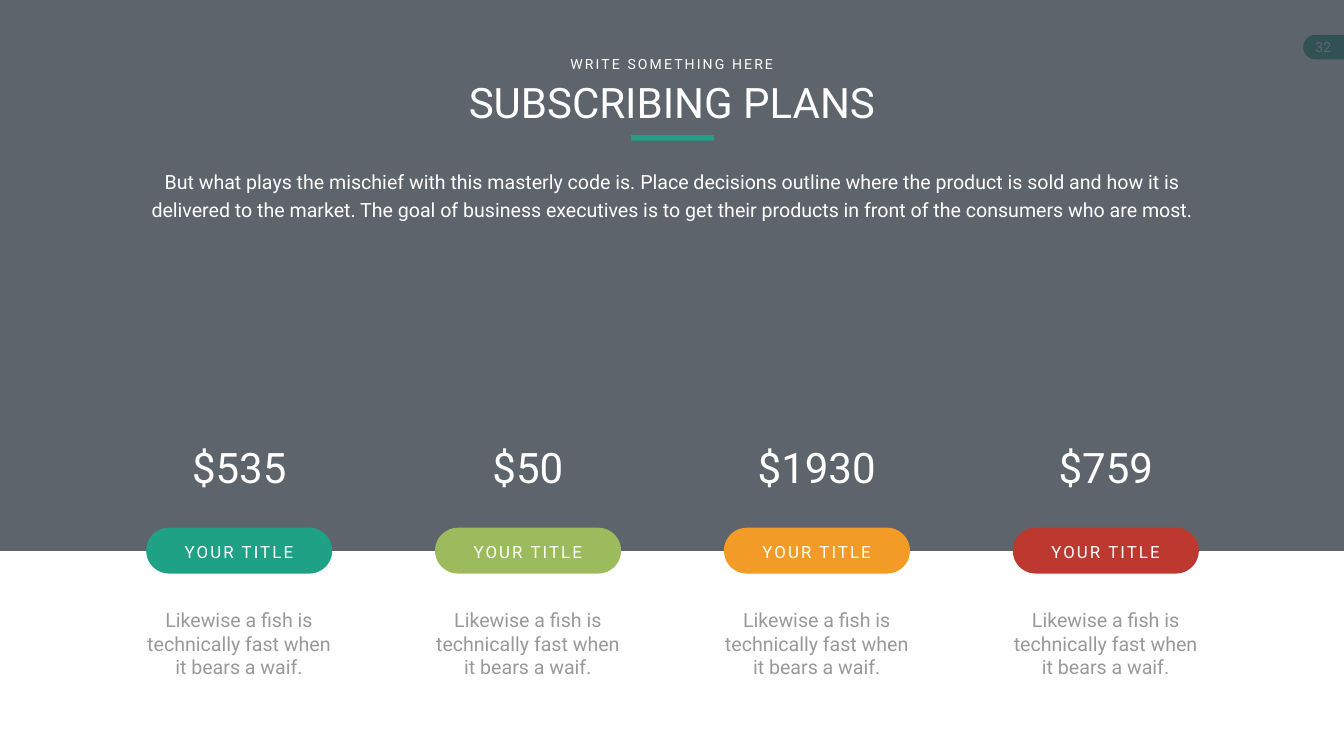
from dataclasses import dataclass
from typing import Optional

from lxml import etree
from pptx import Presentation, util as u
from pptx.dml.color import RGBColor
from pptx.enum import shapes, text
from pptx.oxml import ns

PX = u.Inches(1) // 100
FONT = "Roboto"
WHITE, SLATE, GREY, TEAL = "FFFFFF", "363E48", "999999", "1EA185"
FIRST_CENTRE, PITCH = 474, 573
PILL_WIDTH, LABEL_WIDTH, NOTE_WIDTH = 369, 246, 412
PRICE_DIGIT, PRICE_MARGIN = 49, 19


@dataclass(frozen=True)
class Box:
    left: int
    top: int
    width: int
    height: int

    def emu(self) -> tuple[int, ...]:
        return tuple(px * PX for px in (self.left, self.top, self.width, self.height))


@dataclass(frozen=True)
class Style:
    size: int
    colour: str = WHITE
    tracking: int = 0
    leading: Optional[float] = None
    wrap: bool = True


@dataclass(frozen=True)
class Plan:
    price: str
    colour: str
    title: str = "YOUR TITLE"
    note: str = "Likewise a fish is technically fast when it bears a waif."


HEADING = Style(60)
PRICE = Style(60, wrap=False)
KICKER = Style(20, tracking=3, wrap=False)
PAGE_NUMBER = Style(20, wrap=False)
INTRO = Style(28, leading=40.8)
LABEL = Style(24, tracking=3, wrap=False)
NOTE = Style(28, GREY)

PLANS = [
    Plan("$535", TEAL),
    Plan("$50", "9BBB5C"),
    Plan("$1930", "F29B26"),
    Plan("$759", "BD392F"),
]


def rgb(colour: str) -> RGBColor:
    return RGBColor.from_string(colour)


def centred(centre: int, top: int, width: int, height: int) -> Box:
    return Box(centre - width // 2, top, width, height)


def write(shape, words: str, style: Style) -> None:
    frame = shape.text_frame
    frame.text = words
    frame.word_wrap = style.wrap
    frame.auto_size = text.MSO_AUTO_SIZE.NONE
    frame.vertical_anchor = text.MSO_ANCHOR.TOP
    paragraph = frame.paragraphs[0]
    paragraph.alignment = text.PP_ALIGN.CENTER
    paragraph.font.name = FONT
    paragraph.font.size = u.Pt(style.size)
    paragraph.font.color.rgb = rgb(style.colour)
    if style.leading:
        paragraph.line_spacing = u.Pt(style.leading)
    if style.tracking:
        paragraph.runs[0].font._element.set("spc", str(style.tracking * 100))


def add_words(slide, box: Box, words: str, style: Style) -> None:
    write(slide.shapes.add_textbox(*box.emu()), words, style)


def add_block(slide, box: Box, colour: str, kind=shapes.MSO_SHAPE.RECTANGLE):
    block = slide.shapes.add_shape(kind, *box.emu())
    block.shadow.inherit = False
    block.fill.solid()
    block.fill.fore_color.rgb = rgb(colour)
    block.line.fill.background()
    return block


def set_opacity(shape, percent: int) -> None:
    colour = shape._element.spPr.find(".//" + ns.qn("a:srgbClr"))
    etree.SubElement(colour, ns.qn("a:alpha")).set("val", str(percent * 1000))


def add_page_tab(slide) -> None:
    cap = add_block(slide, Box(2585, 69, 49, 49), TEAL, shapes.MSO_SHAPE.FLOWCHART_DELAY)
    cap.rotation = 180
    add_block(slide, Box(2634, 69, 32, 49), TEAL)
    add_words(slide, centred(2625, 72, 60, 43), "32", PAGE_NUMBER)


def add_header(slide) -> None:
    add_block(slide, Box(1252, 268, 164, 11), TEAL)
    title = slide.shapes.title
    title.left, title.top, title.width, title.height = Box(838, 147, 990, 111).emu()
    write(title, "SUBSCRIBING PLANS", HEADING)
    # The placeholder starts at the back; bring it in front of the dark panel.
    slide.shapes._spTree.append(title._element)
    add_words(slide, Box(1115, 105, 435, 44), "WRITE SOMETHING HERE", KICKER)
    add_words(
        slide,
        Box(287, 322, 2091, 120),
        "But what plays the mischief with this masterly code is. Place decisions outline "
        "where the product is sold and how it is delivered to the market. The goal of "
        "business executives is to get their products in front of the consumers who are most.",
        INTRO,
    )


def add_plan(slide, plan: Plan, centre: int) -> None:
    price_width = PRICE_DIGIT * len(plan.price) + PRICE_MARGIN
    add_words(slide, centred(centre, 871, price_width, 111), plan.price, PRICE)
    pill = add_block(slide, centred(centre, 1047, PILL_WIDTH, 91), plan.colour,
                     shapes.MSO_SHAPE.ROUNDED_RECTANGLE)
    pill.adjustments[0] = 0.5
    add_words(slide, centred(centre, 1069, LABEL_WIDTH, 50), plan.title, LABEL)
    add_words(slide, centred(centre, 1202, NOTE_WIDTH, 151), plan.note, NOTE)


def main() -> None:
    deck = Presentation()
    deck.slide_width, deck.slide_height = 2666 * PX, 1500 * PX
    slide = deck.slides.add_slide(deck.slide_layouts.get_by_name("Title Only"))
    slide.background.fill.solid()
    slide.background.fill.fore_color.rgb = rgb(WHITE)

    add_page_tab(slide)
    set_opacity(add_block(slide, Box(0, 0, 2666, 1093), SLATE), 80)
    add_header(slide)
    for column, plan in enumerate(PLANS):
        add_plan(slide, plan, FIRST_CENTRE + column * PITCH)
    deck.save("out.pptx")


if __name__ == "__main__":
    main()
